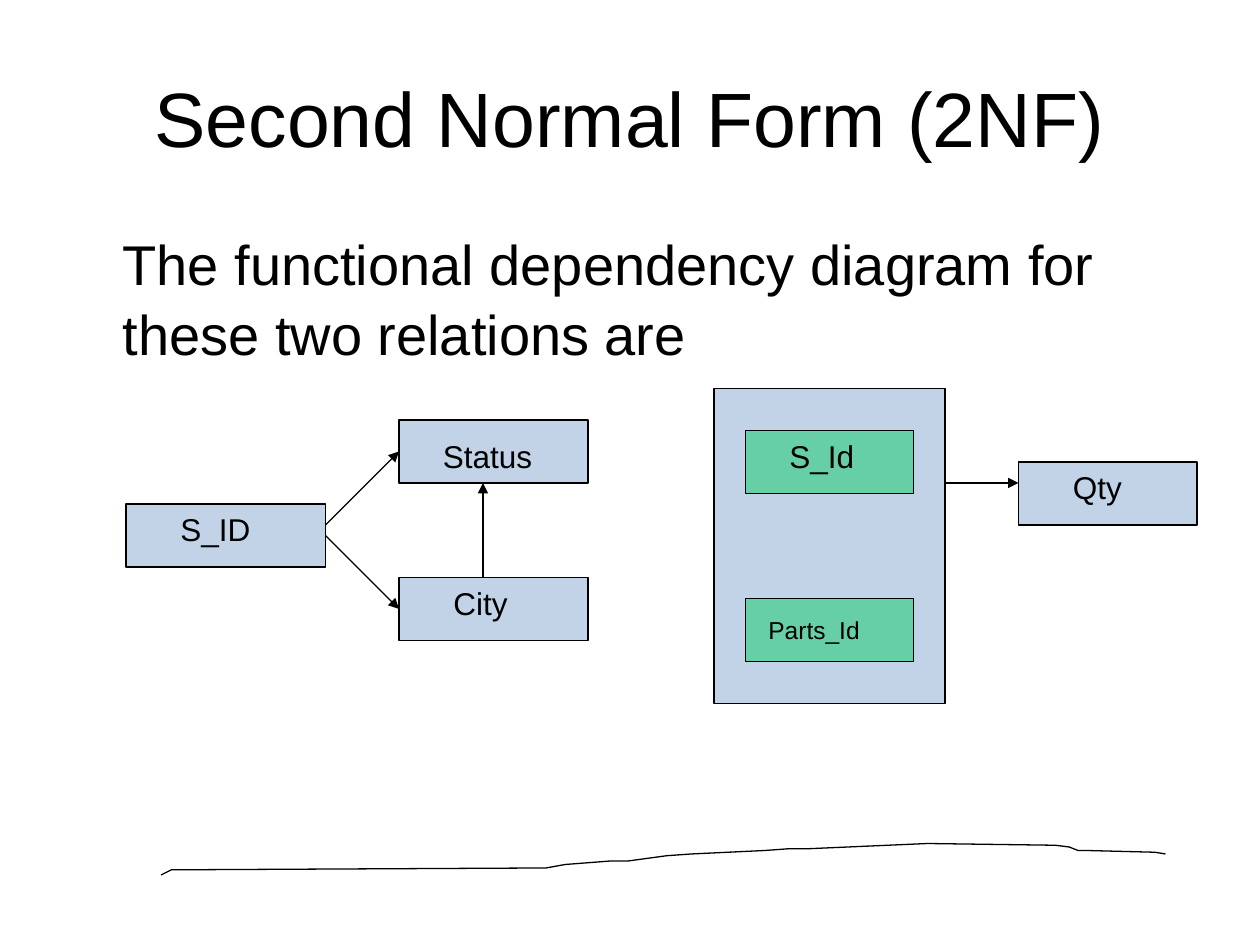
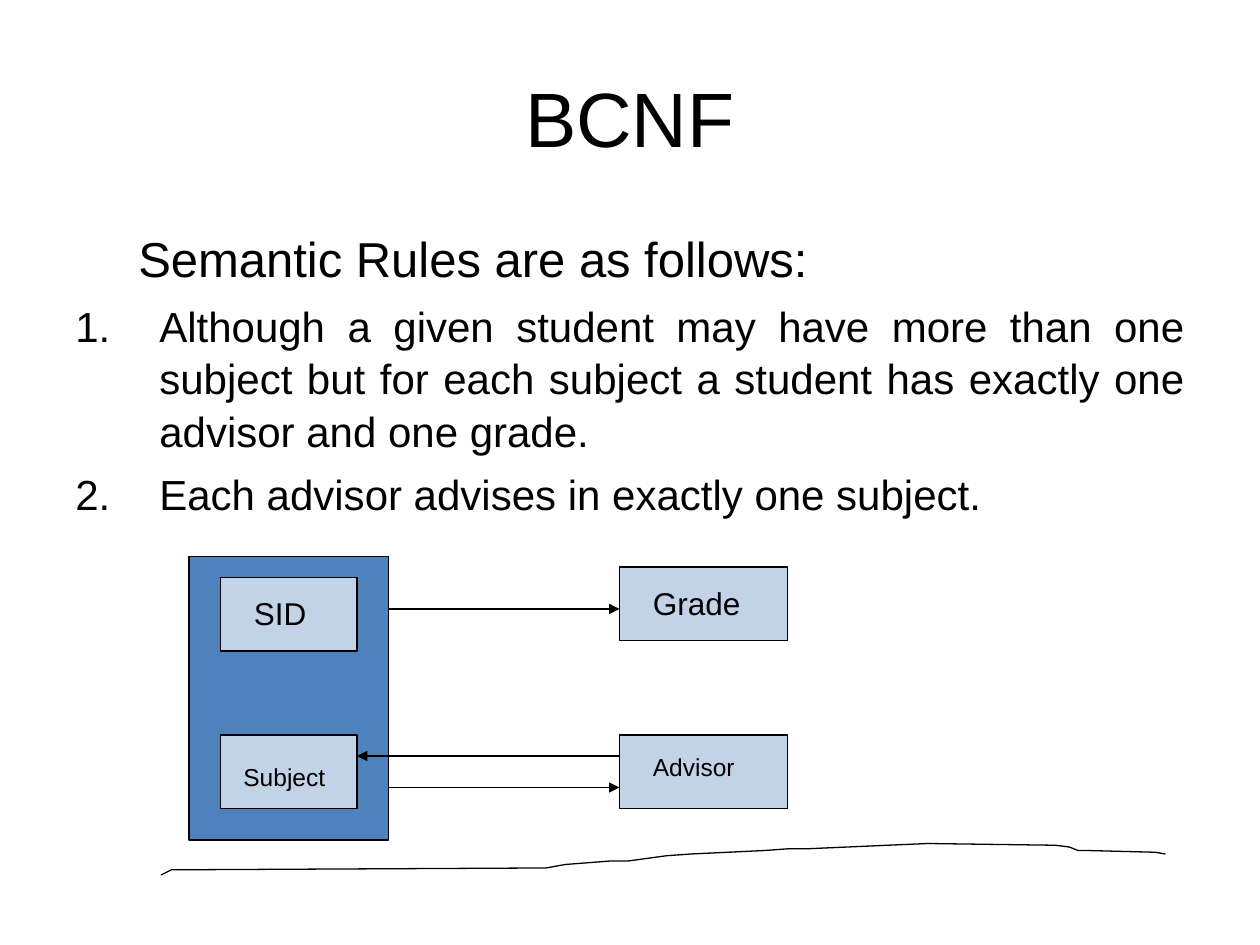
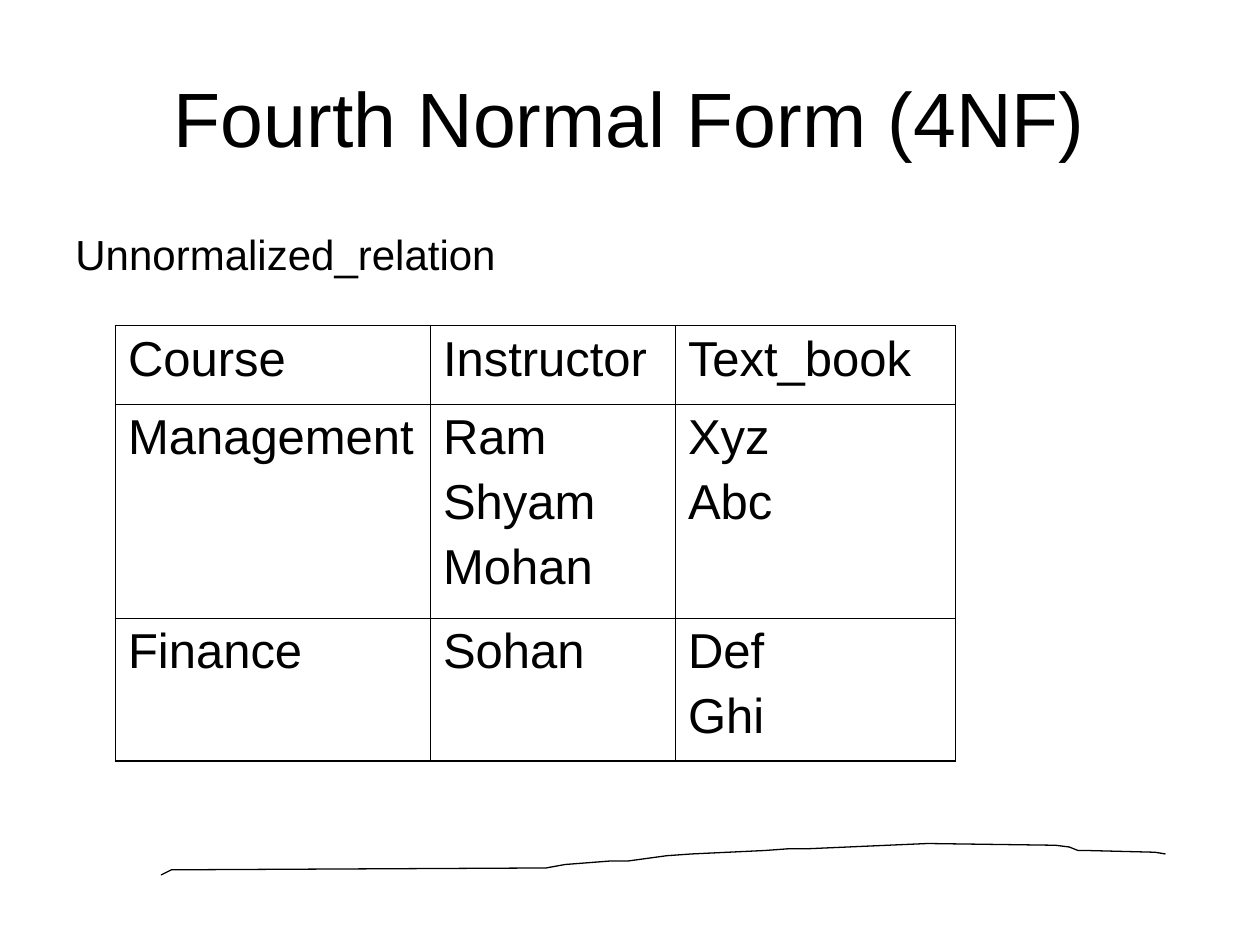
"""Build three slides on database normal forms: 2NF, BCNF and 4NF."""
from lxml import etree
from pptx import Presentation
from pptx.dml.color import RGBColor
from pptx.enum.shapes import MSO_CONNECTOR, MSO_SHAPE
from pptx.enum.text import MSO_ANCHOR, PP_ALIGN
from pptx.oxml.ns import qn
from pptx.util import Pt

RECT = MSO_SHAPE.RECTANGLE
STRAIGHT = MSO_CONNECTOR.STRAIGHT
MIDDLE, TOP = MSO_ANCHOR.MIDDLE, MSO_ANCHOR.TOP
LEFT, CENTER, JUSTIFY = PP_ALIGN.LEFT, PP_ALIGN.CENTER, PP_ALIGN.JUSTIFY

FONT = "Arial"
COLORS = {"ink": "000000", "pale": "C2D3E8", "green": "67CFA5", "blue": "4F81BD"}
LINE_WIDTH = 0.75
OUTER_BORDER, INNER_BORDER = 1.08, 0.45
TITLE_AREA = (36, 21.6, 648, 90)
BODY_AREA = (36, 126, 648, 390)
BODY_SPACING = 1.04

FOOTER_STROKE = [
    (92.2, 499.7), (97.6, 496.9), (107.3, 496.8), (311.8, 496.1), (322.6, 493.9),
    (349.2, 492.5), (359.3, 491.8), (380.9, 488.9), (394.6, 488.2), (437, 486),
    (450.7, 485.3), (461.5, 484.6), (529.9, 482.4), (602.6, 483.1), (610.6, 483.8),
    (616, 485.7), (620.6, 486), (660.2, 487.4), (666, 488.2),
]

# Body: (text, size, left margin, first-line indent, alignment, numbered)
# Boxes: (area, colour); labels: (text, size, left, top, width); arrows: (start, end)
SLIDES = [
    {
        "title": "Second Normal Form (2NF)",
        "body": [("The functional dependency diagram for these two relations are",
                  32, 27, 0, LEFT, False)],
        "boxes": [
            ((72, 288, 114, 36), "pale"),
            ((228, 240, 108, 36), "pale"),
            ((228, 330, 108, 36), "pale"),
            ((408, 222, 132, 180), "pale"),
            ((426, 246, 96, 36), "green"),
            ((426, 342, 96, 36), "green"),
            ((582, 264, 102, 36), "pale"),
        ],
        "labels": [
            ("S_ID", 18, 96, 288, 84),
            ("Status", 18, 246, 246, 96),
            ("City", 18, 252, 330, 66),
            ("S_Id", 18, 444, 246, 84),
            ("Parts_Id", 14, 432, 348, 84),
            ("Qty", 18, 606, 264, 84),
        ],
        "arrows": [
            ((186, 300), (228, 258)),
            ((276, 330), (276, 276)),
            ((186, 306), (228, 348)),
            ((540, 276), (582, 276)),
        ],
    },
    {
        "title": "BCNF",
        "body": [
            ("Semantic Rules are as follows:", 28, 78, -42, LEFT, False),
            ("Although a given student may have more than one subject but for each "
             "subject a student has exactly one advisor and one grade.",
             24, 48, -48, JUSTIFY, True),
            ("Each advisor advises in exactly one subject.", 24, 48, -48, LEFT, True),
        ],
        "boxes": [
            ((108, 318, 114, 162), "blue"),
            ((126, 330, 78, 42), "pale"),
            ((126, 420, 78, 42), "pale"),
            ((354, 324, 96, 42), "pale"),
            ((354, 420, 96, 42), "pale"),
        ],
        "labels": [
            ("SID", 18, 138, 336, 66),
            ("Subject", 14, 132, 432, 66),
            ("Grade", 18, 366, 330, 78),
            ("Advisor", 14, 366, 426, 66),
        ],
        "arrows": [
            ((222, 348), (354, 348)),
            ((222, 450), (354, 450)),
            ((354, 432), (204, 432)),
        ],
    },
    {
        "title": "Fourth Normal Form (4NF)",
        "body": [("Unnormalized_relation", 24, 48, -48, LEFT, False)],
        "relation": {
            "origin": (66, 186),
            "widths": [180, 140, 160],
            "heights": [44.8, 122.4, 81.6],
            "rows": [
                ["Course", "Instructor", "Text_book"],
                ["Management", "Ram\nShyam\nMohan", "Xyz\nAbc"],
                ["Finance", "Sohan", "Def\nGhi"],
            ],
        },
    },
]


def points(values):
    return [Pt(value) for value in values]


def color(name):
    return RGBColor.from_string(COLORS[name])


def style_line(line):
    line.color.rgb = color("ink")
    line.width = Pt(LINE_WIDTH)


def style_runs(paragraph, size):
    for run in paragraph.runs:
        run.font.name = FONT
        run.font.size = Pt(size)
        run.font.color.rgb = color("ink")


def add_frame(slide, area, anchor=TOP):
    frame = slide.shapes.add_textbox(*points(area)).text_frame
    frame.word_wrap = True
    frame.vertical_anchor = anchor
    return frame


def add_text(slide, text, size, area, align=LEFT, anchor=TOP):
    paragraph = add_frame(slide, area, anchor).paragraphs[0]
    paragraph.text = text
    paragraph.alignment = align
    style_runs(paragraph, size)


def add_body(slide, body):
    frame = add_frame(slide, BODY_AREA)
    frame.text = "\n".join(entry[0] for entry in body)
    for index, (paragraph, entry) in enumerate(zip(frame.paragraphs, body)):
        _, size, margin, indent, align, numbered = entry
        paragraph.alignment = align
        paragraph.line_spacing = BODY_SPACING
        if index:
            paragraph.space_before = Pt(6)
        properties = paragraph._p.get_or_add_pPr()
        properties.set("marL", str(Pt(margin)))
        properties.set("indent", str(Pt(indent)))
        if numbered:
            etree.SubElement(properties, qn("a:buFont"), typeface=FONT)
            etree.SubElement(properties, qn("a:buAutoNum"), type="arabicPeriod")
        else:
            etree.SubElement(properties, qn("a:buNone"))
        style_runs(paragraph, size)


def add_box(slide, area, fill):
    box = slide.shapes.add_shape(RECT, *points(area))
    box.shadow.inherit = False
    box.fill.solid()
    box.fill.fore_color.rgb = color(fill)
    style_line(box.line)


def add_arrow(slide, start, end):
    arrow = slide.shapes.add_connector(STRAIGHT, *points(start + end))
    style_line(arrow.line)
    etree.SubElement(arrow.line._get_or_add_ln(), qn("a:tailEnd"), type="triangle")
    etree.SubElement(arrow._element.spPr, qn("a:effectLst"))


def add_footer_stroke(slide):
    builder = slide.shapes.build_freeform(*FOOTER_STROKE[0], scale=Pt(1))
    builder.add_line_segments(FOOTER_STROKE[1:], close=False)
    stroke = builder.convert_to_shape()
    stroke.shadow.inherit = False
    stroke.fill.background()
    style_line(stroke.line)


def add_border(cell, side, width):
    border = etree.SubElement(cell._tc.get_or_add_tcPr(), qn(f"a:ln{side}"), w=str(Pt(width)))
    fill = etree.SubElement(border, qn("a:solidFill"))
    etree.SubElement(fill, qn("a:srgbClr"), val=COLORS["ink"])


def add_relation(slide, origin, widths, heights, rows):
    area = (*origin, sum(widths), sum(heights))
    table = slide.shapes.add_table(len(rows), len(widths), *points(area)).table
    for column, width in zip(table.columns, widths):
        column.width = Pt(width)
    for row, height in zip(table.rows, heights):
        row.height = Pt(height)
    last_row, last_column = len(rows) - 1, len(widths) - 1
    for r, row in enumerate(rows):
        for c, text in enumerate(row):
            cell = table.cell(r, c)
            outer = {"L": c == 0, "R": c == last_column, "T": r == 0, "B": r == last_row}
            for side, is_outer in outer.items():
                add_border(cell, side, OUTER_BORDER if is_outer else INNER_BORDER)
            cell.fill.background()
            cell.text_frame.text = text
            for index, paragraph in enumerate(cell.text_frame.paragraphs):
                if index:
                    paragraph.space_before = Pt(6)
                style_runs(paragraph, 28)
                for run in paragraph.runs:
                    run.font.bold = False


def main():
    deck = Presentation()
    deck.slide_width, deck.slide_height = Pt(720), Pt(540)
    for content in SLIDES:
        slide = deck.slides.add_slide(deck.slide_layouts[6])
        add_footer_stroke(slide)
        add_text(slide, content["title"], 44, TITLE_AREA, CENTER, MIDDLE)
        add_body(slide, content["body"])
        for area, fill in content.get("boxes", []):
            add_box(slide, area, fill)
        for text, size, left, top, width in content.get("labels", []):
            add_text(slide, text, size, (left, top, width, size * 1.15 + 7.2))
        for start, end in content.get("arrows", []):
            add_arrow(slide, start, end)
        if "relation" in content:
            add_relation(slide, **content["relation"])
    deck.save("out.pptx")


if __name__ == "__main__":
    main()
